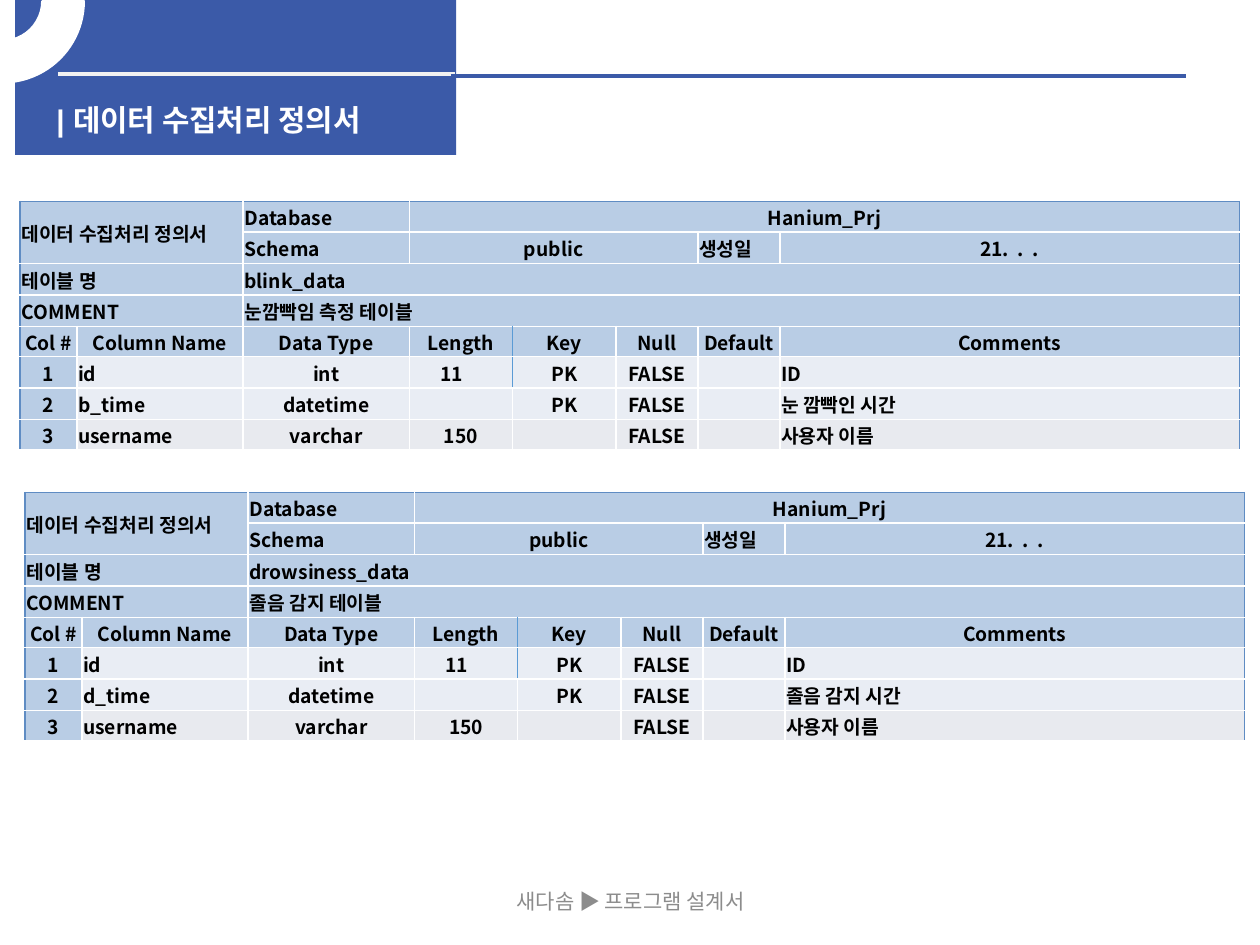
from lxml.etree import SubElement
from pptx import Presentation
from pptx.dml.color import RGBColor
from pptx.enum.shapes import MSO_CONNECTOR, MSO_SHAPE
from pptx.enum.text import MSO_ANCHOR, PP_ALIGN
from pptx.oxml.ns import qn
from pptx.util import Inches, Pt

NAVY, WHITE, PALE, GREY = "3B5AA8", "FFFFFF", "F2F2F2", "8C8C8C"
HEAD, BODY, LAST = "B9CDE5", "E9EDF4", "E8EAEF"
EDGE, KEY_EDGE = "5F8CC3", "5B9BD5"
SANS, KOREAN = "Arial", "Noto Sans CJK KR"
LEFT, CENTER = PP_ALIGN.LEFT, PP_ALIGN.CENTER

TITLE = "| 데이터 수집처리 정의서"
FOOTER = "새다솜 ▶ 프로그램 설계서"
COLUMNS = [0.45, 1.32, 1.32, 0.82, 0.82, 0.65, 0.65, 3.65]
ROWS = [0.24, 0.25, 0.25, 0.25, 0.24, 0.25, 0.25, 0.24]
HEADINGS = ["Col #", "Column Name", "Data Type", "Length", "Key", "Null", "Default", "Comments"]
LEFT_FIELDS = {1, 7}
HEADING_ROW, LENGTH_COLUMN = 4, 3
TABLES = [
    {"at": (0.16, 1.6), "name": "blink_data", "comment": "눈깜빡임 측정 테이블",
     "time": "b_time", "time_note": "눈 깜빡인 시간"},
    {"at": (0.2, 3.91), "name": "drowsiness_data", "comment": "졸음 감지 테이블",
     "time": "d_time", "time_note": "졸음 감지 시간"},
]


def color(value):
    return RGBColor.from_string(value)


def add_text(para, text, size, font, ink, bold=False):
    span = para.add_run()
    span.text = text
    span.font.size, span.font.name, span.font.bold = Pt(size), font, bold
    span.font.color.rgb = color(ink)
    SubElement(span.font._element, qn("a:ea"), typeface=KOREAN)


def add_box(page, place, text, size, font, ink, bold=False, align=LEFT,
            anchor=MSO_ANCHOR.TOP, wrap=True):
    frame = page.shapes.add_textbox(*map(Inches, place)).text_frame
    frame.word_wrap, frame.vertical_anchor = wrap, anchor
    frame.paragraphs[0].alignment = align
    add_text(frame.paragraphs[0], text, size, font, ink, bold)


def add_shape(page, kind, place, fill):
    shape = page.shapes.add_shape(kind, *map(Inches, place))
    shape.shadow.inherit = False
    shape.fill.solid()
    shape.fill.fore_color.rgb = color(fill)
    shape.line.fill.background()
    return shape


def add_rule(page, start, end, height, ink):
    rule = page.shapes.add_connector(
        MSO_CONNECTOR.STRAIGHT, *map(Inches, (start, height, end, height)))
    rule.line.color.rgb, rule.line.width = color(ink), Pt(2.25)
    SubElement(rule._element.spPr, qn("a:effectLst"))


def add_header(page):
    add_shape(page, MSO_SHAPE.RECTANGLE, (0.12, 0, 3.5, 1.23), NAVY)
    add_rule(page, 0.46, 3.61, 0.59, PALE)
    add_rule(page, 3.58, 9.41, 0.6, NAVY)
    add_box(page, (0.35, 0.76, 3.07, 0.32), TITLE, 17, SANS, WHITE, bold=True, wrap=False)
    arc = add_shape(page, MSO_SHAPE.BLOCK_ARC, (-0.63, -0.63, 1.29, 1.28), WHITE)
    arc.line.color.rgb, arc.line.width = color(WHITE), Pt(2)
    arc.adjustments[0], arc.adjustments[1], arc.adjustments[2] = 161.59 * 0.6, 0, 0.25
    arc._element.spPr.find(qn("a:xfrm")).set("flipV", "1")


def table_entries(info):
    """Return (row, column, row span, column span, text, alignment) for each cell."""
    entries = [
        (0, 0, 2, 2, "데이터 수집처리 정의서", LEFT),
        (0, 2, 1, 1, "Database", LEFT), (0, 3, 1, 5, "Hanium_Prj", CENTER),
        (1, 2, 1, 1, "Schema", LEFT), (1, 3, 1, 3, "public", CENTER),
        (1, 6, 1, 1, "생성일", LEFT), (1, 7, 1, 1, "21.  .  .", CENTER),
        (2, 0, 1, 2, "테이블 명", LEFT), (2, 2, 1, 6, info["name"], LEFT),
        (3, 0, 1, 2, "COMMENT", LEFT), (3, 2, 1, 6, info["comment"], LEFT),
    ]
    entries += [(HEADING_ROW, c, 1, 1, text, CENTER) for c, text in enumerate(HEADINGS)]
    fields = [
        ["1", "id", "int", "11　", "PK", "FALSE", "", "ID"],
        ["2", info["time"], "datetime", "", "PK", "FALSE", "", info["time_note"]],
        ["3", "username", "varchar", "150", "", "FALSE", "", "사용자 이름"],
    ]
    for r, record in enumerate(fields, HEADING_ROW + 1):
        entries += [(r, c, 1, 1, text, LEFT if c in LEFT_FIELDS else CENTER)
                    for c, text in enumerate(record)]
    return entries


def set_borders(cell, row, first, end):
    key_row = row in (HEADING_ROW, HEADING_ROW + 1)
    key_column = LENGTH_COLUMN + 1
    inks = {
        "a:lnL": EDGE if first == 0 else KEY_EDGE if key_row and first == key_column else WHITE,
        "a:lnR": EDGE if end == len(COLUMNS) else KEY_EDGE if key_row and end == key_column else WHITE,
        "a:lnT": EDGE if row == 0 else WHITE,
        "a:lnB": WHITE,
    }
    props = cell._tc.get_or_add_tcPr()
    for tag, ink in inks.items():
        line = SubElement(props, qn(tag), w=str(Pt(1)))
        SubElement(SubElement(line, qn("a:solidFill")), qn("a:srgbClr"), val=ink)


def style_cell(cell, row, first, end):
    cell.margin_left = cell.margin_right = cell.margin_top = Inches(0.01)
    cell.margin_bottom = 0
    cell.vertical_anchor = MSO_ANCHOR.MIDDLE
    set_borders(cell, row, first, end)
    cell.fill.solid()
    body = LAST if row == len(ROWS) - 1 else BODY
    cell.fill.fore_color.rgb = color(HEAD if row <= HEADING_ROW or first == 0 else body)


def add_definition(page, info):
    size = (sum(COLUMNS), sum(ROWS))
    grid = page.shapes.add_table(
        len(ROWS), len(COLUMNS), *map(Inches, info["at"] + size)).table
    for column, width in zip(grid.columns, COLUMNS):
        column.width = Inches(width)
    for line, height in zip(grid.rows, ROWS):
        line.height = Inches(height)
    for row, col, down, across, text, align in table_entries(info):
        cell = grid.cell(row, col)
        if down * across > 1:
            cell.merge(grid.cell(row + down - 1, col + across - 1))
        style_cell(cell, row, col, col + across)
        para = cell.text_frame.paragraphs[0]
        para.alignment = align
        if text:
            add_text(para, text, 11, KOREAN, "000000", bold=True)
        else:
            SubElement(para._p, qn("a:endParaRPr"), sz="1100")
    for r in range(len(ROWS)):
        for c in range(len(COLUMNS)):
            if grid.cell(r, c).is_spanned:
                style_cell(grid.cell(r, c), r, c, c + 1)


def main():
    deck = Presentation()
    deck.slide_width, deck.slide_height = Inches(10), Inches(7.5)
    page = deck.slides.add_slide(deck.slide_layouts[6])
    add_header(page)
    add_box(page, (3.42, 6.95, 3.17, 0.4), FOOTER, 12, KOREAN, GREY,
            align=CENTER, anchor=MSO_ANCHOR.MIDDLE)
    for info in TABLES:
        add_definition(page, info)
    deck.save("out.pptx")


if __name__ == "__main__":
    main()
